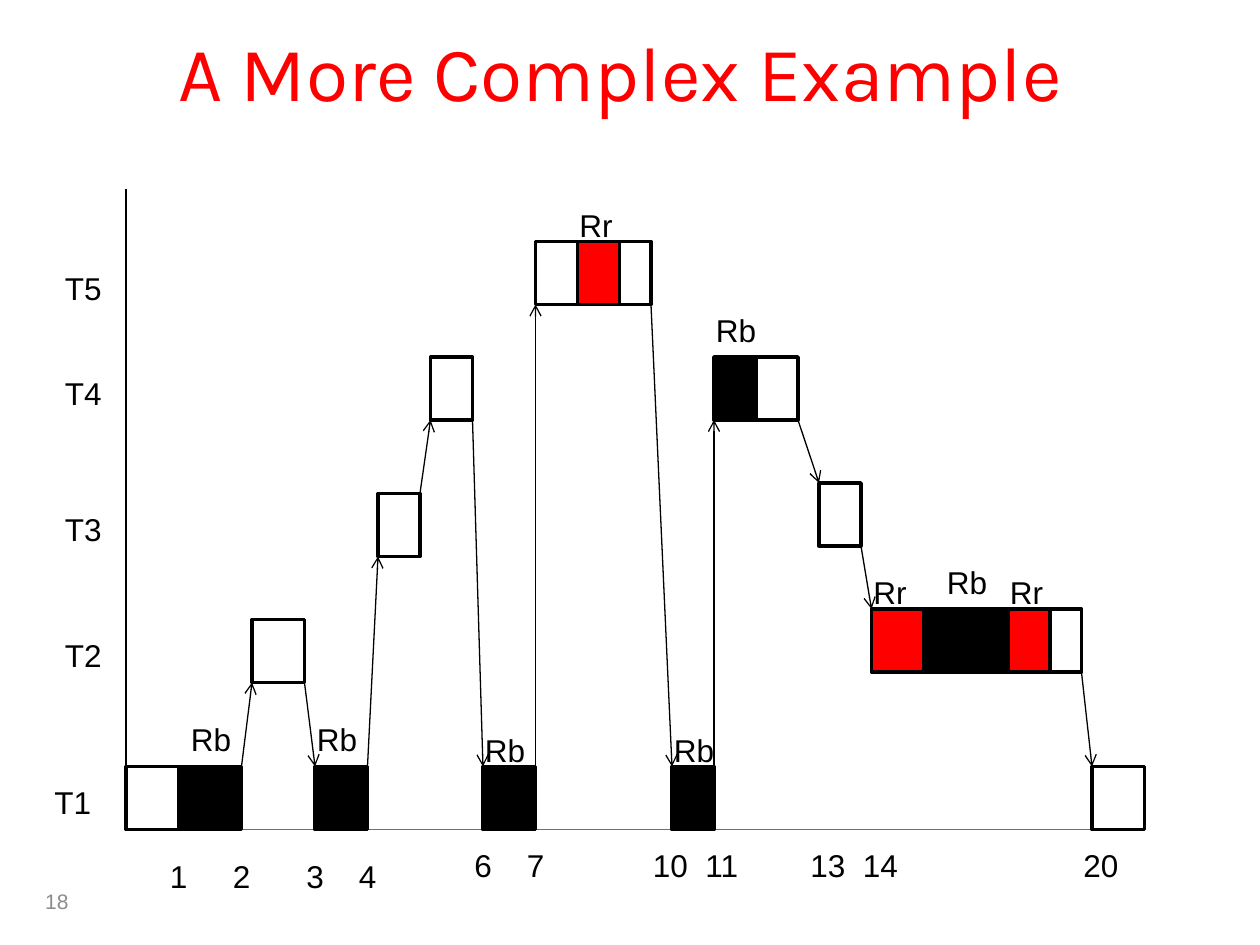
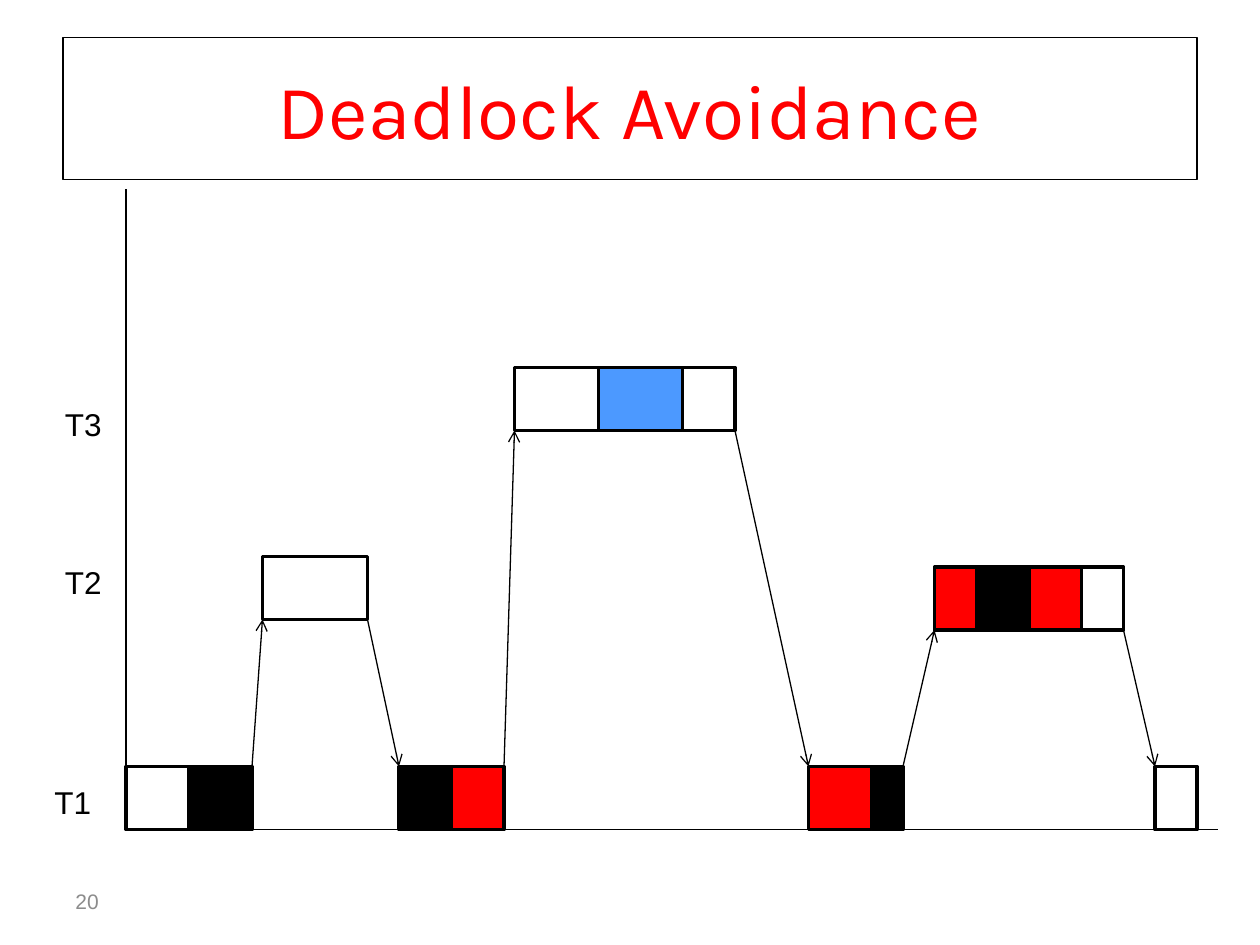
from dataclasses import dataclass

from lxml.etree import SubElement
from pptx import Presentation
from pptx.dml.color import RGBColor as Rgb
from pptx.enum.shapes import MSO_CONNECTOR as Link, MSO_SHAPE as Shape
from pptx.enum.text import MSO_ANCHOR as Anchor, PP_ALIGN as Align
from pptx.oxml.ns import qn
from pptx.util import Pt

# Content: a run is (left, top, segments), a segment is fill code and width.
BASE = 438  # top of the T1 row
SLIDES = [
    {
        "title": "A More Complex Example ", "top": 0, "frame": False,
        "page": ("18", 18.7), "end": 642, "axis": "gray",
        "runs": [
            (72, BASE, [("W", 30), ("K", 36)]),
            (144, 354, [("W", 30)]),
            (180, BASE, [("K", 30)]),
            (216, 282, [("W", 24)]),
            (246, 204, [("W", 24)]),
            (276, BASE, [("K", 30)]),
            (306, 138, [("W", 24), ("R", 24), ("W", 18)]),
            (384, BASE, [("K", 24)]),
            (408, 204, [("K", 24), ("W", 24)]),
            (468, 276, [("W", 24)]),
            (498, 348, [("R", 30), ("K", 48), ("R", 24), ("W", 18)]),
            (624, BASE, [("W", 30)]),
        ],
        "tasks": [444, 360, 288, 210, 150],
        "labels": [
            # times, by row
            ("1", 90, 486), ("2", 126, 486), ("3", 168, 486), ("4", 198, 486),
            ("6", 264, 480), ("7", 294, 480), ("10", 366, 480),
            ("11", 396, 480), ("13", 456, 480), ("14", 486, 480),
            ("20", 612, 480),
            # resources held
            ("Rb", 102, 408), ("Rb", 174, 408), ("Rb", 270, 414),
            ("Rr", 324, 114), ("Rb", 378, 414), ("Rb", 402, 174),
            ("Rr", 492, 324), ("Rb", 534, 318), ("Rr", 570, 324),
        ],
    },
    {
        "title": "Deadlock Avoidance", "top": 21.6, "frame": True,
        "page": ("20", 36), "end": 696, "axis": "black",
        "runs": [
            (72, BASE, [("W", 36), ("K", 36)]),
            (150, 318, [("W", 60)]),
            (228, BASE, [("K", 30), ("R", 30)]),
            (294, 210, [("W", 48), ("B", 48), ("W", 30)]),
            (462, BASE, [("R", 36), ("K", 18)]),
            (534, 324, [("R", 24), ("K", 30), ("R", 30), ("W", 24)]),
            (660, BASE, [("W", 24)]),
        ],
        "tasks": [444, 318, 228],
        "labels": [],
    },
]


@dataclass(frozen=True)
class Theme:
    black: Rgb = Rgb(0, 0, 0)
    white: Rgb = Rgb(255, 255, 255)
    red: Rgb = Rgb(255, 0, 0)
    blue: Rgb = Rgb(0x4C, 0x99, 0xFF)
    gray: Rgb = Rgb(0x70, 0x70, 0x70)
    pale: Rgb = Rgb(0x8C, 0x8C, 0x8C)
    head: str = "Karla"
    body: str = "Arial"
    big: int = 44
    mid: int = 18
    small: int = 12
    thin: float = 0.75
    thick: float = 2


LOOK = Theme()
FILLS = {"W": LOOK.white, "K": LOOK.black, "R": LOOK.red, "B": LOOK.blue}
TALL = 36           # height of a run
LEFT, TOP = 72, 108  # upper end of the vertical axis
# Letter widths in ems; a digit is the default
EMS = {"T": 0.61, "R": 0.72, "r": 0.33}


def write(slide, text, box, size, color, face=LOOK.body, wrap=True):
    """Add a text box and return it."""
    part = slide.shapes.add_textbox(*map(Pt, box))
    frame = part.text_frame
    frame.word_wrap = wrap
    para = frame.paragraphs[0]
    para.text = text
    para.font.size, para.font.name = Pt(size), face
    para.font.color.rgb = color
    return part


def label(slide, text, x, y):
    wide = 14.4 + LOOK.mid * sum(EMS.get(c, 0.556) for c in text)
    write(slide, text, (x, y, wide, 29), LOOK.mid, LOOK.black, wrap=False)


def line(slide, start, end, color=LOOK.black, arrow=False):
    link = slide.shapes.add_connector(
        Link.STRAIGHT, *map(Pt, (*start, *end)))
    link.line.width = Pt(LOOK.thin)
    link.line.color.rgb = color
    if arrow:
        SubElement(link.line._get_or_add_ln(), qn("a:tailEnd"), type="arrow")
    SubElement(link._element.spPr, qn("a:effectLst"))


def blocks(slide, x, y, parts):
    """Draw one run of touching segments; return its right edge."""
    for code, wide in parts:
        box = slide.shapes.add_shape(
            Shape.RECTANGLE, Pt(x), Pt(y), Pt(wide), Pt(TALL))
        box.shadow.inherit = False
        box.fill.solid()
        box.fill.fore_color.rgb = FILLS[code]
        box.line.color.rgb = LOOK.black
        box.line.width = Pt(LOOK.thick)
        x += wide
    return x


def switch(slide, last, new):
    """Point from the end of one run to the start of the next."""
    (x1, y1), (x2, y2) = last, new
    if y2 < y1:
        y2 += TALL
    else:
        y1 += TALL
    line(slide, (x1, y1), (x2, y2), arrow=True)


def build(slide, data):
    # Title
    title = write(slide, data["title"], (36, data["top"], 648, 81),
                  LOOK.big, LOOK.red, LOOK.head)
    title.text_frame.vertical_anchor = Anchor.MIDDLE
    title.text_frame.paragraphs[0].alignment = Align.CENTER
    if data["frame"]:
        title.line.color.rgb = LOOK.black
        title.line.width = Pt(LOOK.thin)

    # Axes
    foot = BASE + TALL
    line(slide, (LEFT, TOP), (LEFT, foot))
    line(slide, (LEFT, foot), (data["end"], foot), getattr(LOOK, data["axis"]))

    # Runs, then the switches between them
    ends = [(blocks(slide, *run), run[1]) for run in data["runs"]]
    for last, new in zip(ends, data["runs"][1:]):
        switch(slide, last, new[:2])

    # Task names, times and resources
    for num, y in enumerate(data["tasks"], 1):
        label(slide, f"T{num}", 24 if num == 1 else 30, y)
    for item in data["labels"]:
        label(slide, *item)

    # Page number
    num, x = data["page"]
    page = write(slide, num, (x, 500.4, 168, 29), LOOK.small, LOOK.pale)
    page.text_frame.vertical_anchor = Anchor.MIDDLE


def main():
    deck = Presentation()
    deck.slide_width, deck.slide_height = Pt(720), Pt(540)
    for data in SLIDES:
        build(deck.slides.add_slide(deck.slide_layouts[6]), data)
    deck.save("out.pptx")


if __name__ == "__main__":
    main()
